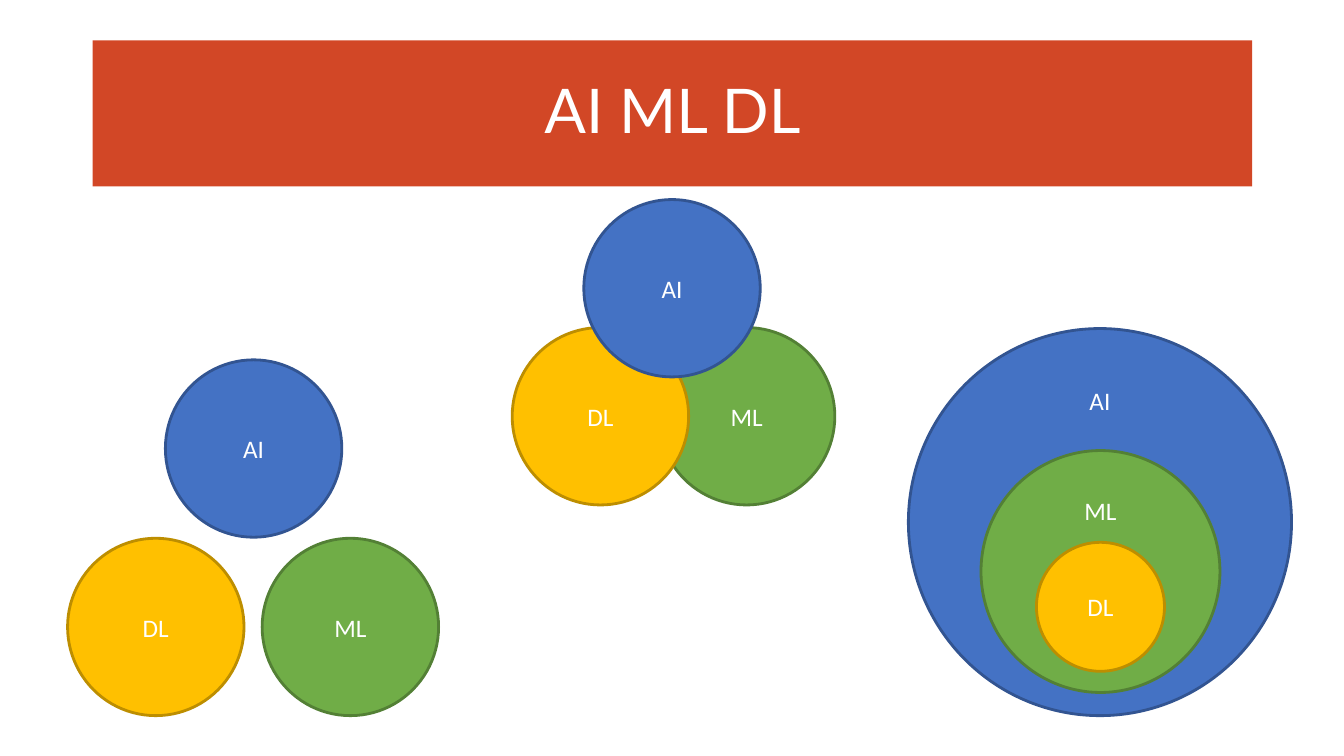
import pptx
import pptx.util
import pptx.dml.color
import pptx.enum.shapes
import pptx.enum.text

PX = 9144  # EMU, 100 px to the inch
SHAPE = pptx.enum.shapes.MSO_SHAPE
ANCHOR = pptx.enum.text.MSO_ANCHOR


def color(hex_code):
    return pptx.dml.color.RGBColor.from_string(hex_code)


def add_labelled(kind, box, fill, label, font_name, size):
    """Add a filled shape with a centred white label."""
    shape = slide.shapes.add_shape(kind, *[n * PX for n in box])
    shape.shadow.inherit = False
    shape.fill.solid()
    shape.fill.fore_color.rgb = color(fill)
    frame = shape.text_frame
    frame.word_wrap = True
    frame.vertical_anchor = ANCHOR.MIDDLE
    paragraph = frame.paragraphs[0]
    paragraph.text = label
    paragraph.alignment = pptx.enum.text.PP_ALIGN.CENTER
    paragraph.font.name = font_name
    paragraph.font.size = pptx.util.Pt(size)
    paragraph.font.color.rgb = color("FFFFFF")
    return shape


deck = pptx.Presentation()
deck.slide_width = 1333 * PX
deck.slide_height = 750 * PX
slide = deck.slides.add_slide(deck.slide_layouts[6])

title = add_labelled(SHAPE.RECTANGLE, (92, 40, 1150, 145), "D24726", "AI ML DL", "Lato", 44)
title.line.fill.background()
title.text_frame.paragraphs[0].line_spacing = 0.9

# Fill and outline of each field
FIELD_COLORS = {
    "AI": ("4472C4", "325491"),
    "ML": ("70AD47", "538035"),
    "DL": ("FFC000", "BD8E00"),
}
SINGLE = (175, 176)

# Field, left, top, size, top inset of a label above an inner circle
circles = [
    # Separate fields
    ("AI", 164, 357, SINGLE, None),
    ("DL", 67, 534, SINGLE, None),
    ("ML", 260, 534, SINGLE, None),
    # Overlapping fields
    ("ML", 653, 325, SINGLE, None),
    ("DL", 508, 325, SINGLE, None),
    ("AI", 579, 198, SINGLE, None),
    # Nested fields
    ("AI", 901, 326, (380, 384), 0),
    ("ML", 973, 447, (237, 240), 9),
    ("DL", 1028, 538, (127, 128), None),
]
for field, left, top, size, label_inset in circles:
    fill, outline = FIELD_COLORS[field]
    circle = add_labelled(SHAPE.OVAL, (left, top, *size), fill, field, "Calibri", 18)
    circle.line.color.rgb = color(outline)
    circle.line.width = pptx.util.Pt(2)
    if label_inset is not None:
        circle.text_frame.vertical_anchor = ANCHOR.TOP
        circle.text_frame.margin_top = label_inset * PX

deck.save("out.pptx")
